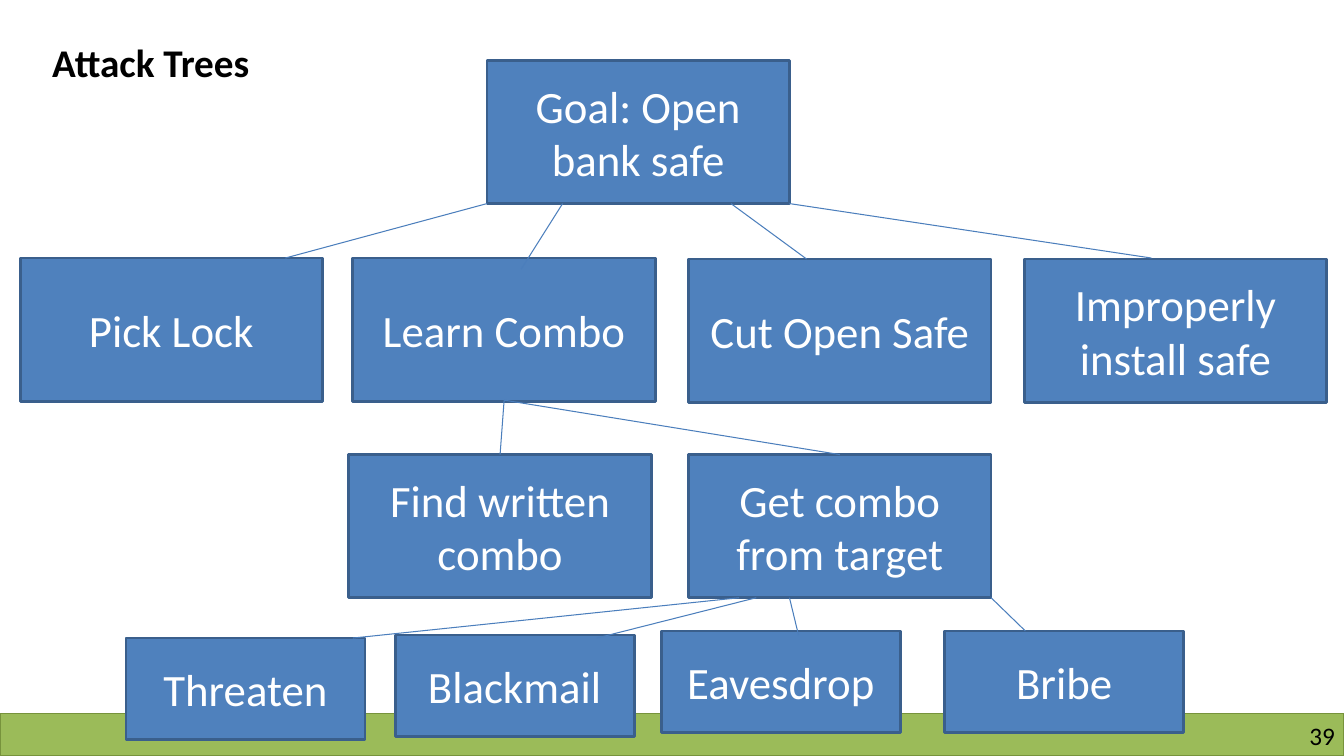
from dataclasses import dataclass
from typing import Optional

import pptx
import pptx.dml.color
import pptx.enum.shapes
import pptx.enum.text
import pptx.oxml.ns
import pptx.shapes.autoshape
import pptx.slide
import pptx.text.text
import pptx.util
from lxml import etree

PX = 9144  # EMU per px, 100 px to the inch
SLIDE_W, SLIDE_H = 1333, 750


@dataclass(frozen=True)
class Theme:
    font: str = "Calibri"
    text: str = "000000"
    node_text: str = "FFFFFF"
    node_fill: str = "4F81BD"
    node_line: str = "3A5F8C"
    branch: str = "4B7EBC"
    footer_fill: str = "9BBB59"
    footer_line: str = "77933C"
    title_size: int = 28
    node_size: int = 32
    number_size: int = 18


@dataclass(frozen=True)
class Branch:
    """Line from the parent's bottom edge to the child."""
    x1: int
    y1: int
    x2: int
    y2: int


@dataclass(frozen=True)
class Node:
    label: str
    left: int
    top: int
    branch: Optional[Branch] = None


@dataclass(frozen=True)
class Tier:
    width: int
    height: int
    nodes: tuple[Node, ...]


THEME = Theme()

ATTACK_TREE = (
    Tier(300, 142, (
        Node("Goal: Open bank safe", 483, 60),
    )),
    Tier(300, 142, (
        Node("Pick Lock", 20, 256, Branch(483, 202, 283, 256)),
        Node("Learn Combo", 350, 256, Branch(558, 202, 517, 267)),
        Node("Cut Open Safe", 683, 257, Branch(725, 202, 800, 257)),
        Node("Improperly install safe", 1016, 257, Branch(783, 202, 1142, 256)),
    )),
    Tier(300, 142, (
        Node("Find written combo", 346, 451, Branch(500, 397, 496, 451)),
        Node("Get combo from target", 683, 451, Branch(500, 397, 833, 451)),
    )),
    Tier(237, 101, (
        Node("Threaten", 125, 633, Branch(733, 593, 350, 633)),
        Node("Blackmail", 392, 630, Branch(750, 593, 592, 633)),
        Node("Eavesdrop", 656, 626, Branch(783, 593, 792, 630)),
        Node("Bribe", 937, 626, Branch(983, 593, 1017, 626)),
    )),
)


def px(*lengths: int) -> list[pptx.util.Emu]:
    return [pptx.util.Emu(length * PX) for length in lengths]


def rgb(colour: str) -> pptx.dml.color.RGBColor:
    return pptx.dml.color.RGBColor.from_string(colour)


def write(frame: pptx.text.text.TextFrame, text: str, size: int, colour: str,
          align: pptx.enum.text.PP_ALIGN, bold: bool = False) -> None:
    frame.text = text
    paragraph = frame.paragraphs[0]
    paragraph.alignment = align
    font = paragraph.runs[0].font
    font.name, font.size, font.bold = THEME.font, pptx.util.Pt(size), bold
    font.color.rgb = rgb(colour)


def add_box(slide: pptx.slide.Slide, left: int, top: int, width: int, height: int,
            fill: str, line: str, weight: float) -> pptx.shapes.autoshape.Shape:
    box = slide.shapes.add_shape(pptx.enum.shapes.MSO_SHAPE.RECTANGLE,
                                 *px(left, top, width, height))
    box.shadow.inherit = False
    box.fill.solid()
    box.fill.fore_color.rgb = rgb(fill)
    box.line.color.rgb = rgb(line)
    box.line.width = pptx.util.Pt(weight)
    return box


def add_node(slide: pptx.slide.Slide, node: Node, tier: Tier) -> None:
    box = add_box(slide, node.left, node.top, tier.width, tier.height,
                  THEME.node_fill, THEME.node_line, 2)
    box.text_frame.word_wrap = True
    box.text_frame.vertical_anchor = pptx.enum.text.MSO_ANCHOR.MIDDLE
    write(box.text_frame, node.label, THEME.node_size, THEME.node_text,
          pptx.enum.text.PP_ALIGN.CENTER)


def add_branch(slide: pptx.slide.Slide, branch: Branch) -> None:
    connector = slide.shapes.add_connector(
        pptx.enum.shapes.MSO_CONNECTOR.STRAIGHT,
        *px(branch.x1, branch.y1, branch.x2, branch.y2))
    connector.line.color.rgb = rgb(THEME.branch)
    connector.line.width = pptx.util.Pt(0.75)
    etree.SubElement(connector._element.spPr, pptx.oxml.ns.qn("a:effectLst"))


def add_footer(slide: pptx.slide.Slide) -> None:
    add_box(slide, 0, 708, SLIDE_W, SLIDE_H - 708,
            THEME.footer_fill, THEME.footer_line, 1)
    page_number = slide.shapes.add_textbox(*px(1017, 715, 307, 30)).text_frame
    page_number.word_wrap = True
    page_number.margin_left = page_number.margin_right = 0
    page_number.margin_top = page_number.margin_bottom = 0
    write(page_number, "39", THEME.number_size, THEME.text,
          pptx.enum.text.PP_ALIGN.RIGHT)


def add_title(slide: pptx.slide.Slide) -> None:
    title = slide.shapes.add_textbox(*px(42, 33, 257, 57)).text_frame
    title.word_wrap = False
    write(title, "Attack Trees", THEME.title_size, THEME.text,
          pptx.enum.text.PP_ALIGN.LEFT, bold=True)


def main() -> None:
    deck = pptx.Presentation()
    deck.slide_width, deck.slide_height = px(SLIDE_W, SLIDE_H)
    slide = deck.slides.add_slide(deck.slide_layouts[6])

    # Footer band and heading
    add_footer(slide)
    add_title(slide)

    # Attack tree, from the goal down
    for tier in ATTACK_TREE:
        for node in tier.nodes:
            add_node(slide, node, tier)
        for node in tier.nodes:
            if node.branch:
                add_branch(slide, node.branch)

    deck.save("out.pptx")


if __name__ == "__main__":
    main()
